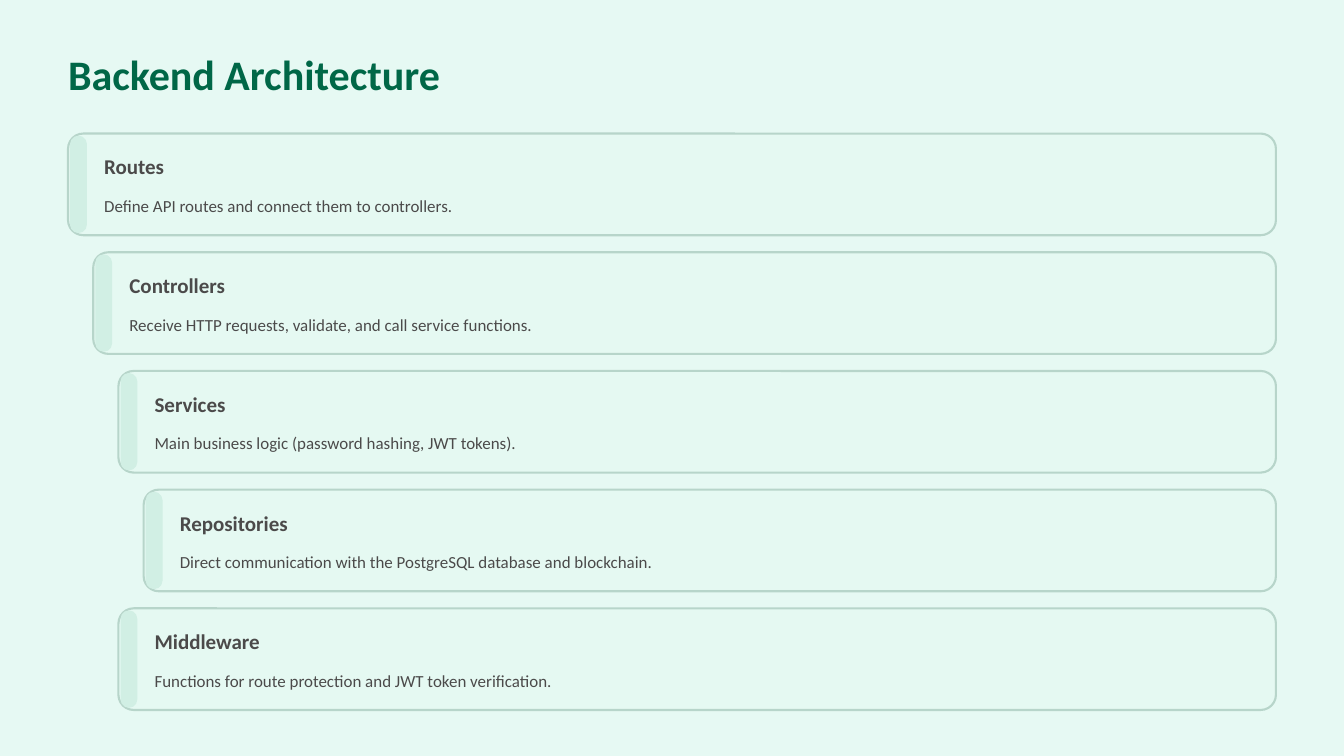
from dataclasses import dataclass

from pptx import Presentation
from pptx.dml.color import RGBColor
from pptx.enum.shapes import MSO_SHAPE
from pptx.enum.text import MSO_ANCHOR, MSO_AUTO_SIZE, PP_ALIGN
from pptx.util import Inches, Pt

ROUNDED = MSO_SHAPE.ROUNDED_RECTANGLE
TOP = MSO_ANCHOR.TOP
LEFT = PP_ALIGN.LEFT
NO_AUTOFIT = MSO_AUTO_SIZE.NONE


@dataclass(frozen=True)
class Theme:
    font: str = "Calibri"
    background: RGBColor = RGBColor.from_string("E6F9F3")
    card: RGBColor = RGBColor.from_string("E5F9F2")
    border: RGBColor = RGBColor.from_string("B7D5CA")
    accent: RGBColor = RGBColor.from_string("D1EFE4")
    title: RGBColor = RGBColor.from_string("006747")
    text: RGBColor = RGBColor.from_string("4B4A4A")
    title_size: float = 36
    heading_size: float = 18
    body_size: float = 14.5


theme = Theme()

# Grid, in inches
MARGIN = 0.81
RIGHT_EDGE = 15.19
FIRST_ROW = 1.59
ROW_PITCH = 1.413
CARD_HEIGHT = 1.21
INDENT = 0.3
INSET = 0.025
ACCENT_WIDTH = 0.2
TEXT_OFFSET = 0.43

# Heading, description, indent level
LAYERS = [
    ("Routes", "Define API routes and connect them to controllers.", 0),
    ("Controllers", "Receive HTTP requests, validate, and call service functions.", 1),
    ("Services", "Main business logic (password hashing, JWT tokens).", 2),
    ("Repositories", "Direct communication with the PostgreSQL database and blockchain.", 3),
    ("Middleware", "Functions for route protection and JWT token verification.", 2),
]


def write(shape, text, size, color, line_height, bold=False):
    frame = shape.text_frame
    frame.margin_left = frame.margin_right = 0
    frame.margin_top = frame.margin_bottom = 0
    frame.word_wrap = True
    frame.auto_size = NO_AUTOFIT
    frame.vertical_anchor = TOP
    frame.text = text
    paragraph = frame.paragraphs[0]
    paragraph.alignment = LEFT
    paragraph.space_before = Pt(0)
    paragraph.line_spacing = Pt(line_height)
    paragraph.font.name = theme.font
    paragraph.font.size = Pt(size)
    paragraph.font.bold = bold
    paragraph.font.color.rgb = color


def add_panel(left, top, width, height, fill, corner):
    shape = slide.shapes.add_shape(
        ROUNDED, Inches(left), Inches(top), Inches(width), Inches(height))
    shape.shadow.inherit = False
    shape.adjustments[0] = corner
    shape.fill.solid()
    shape.fill.fore_color.rgb = fill
    shape.line.fill.background()
    return shape


presentation = Presentation()
presentation.slide_width = Inches(16)
presentation.slide_height = Inches(9)
title_only = presentation.slide_layouts[5]
slide = presentation.slides.add_slide(title_only)
slide.background.fill.solid()
slide.background.fill.fore_color.rgb = theme.background

title = slide.shapes.title
title.left, title.top = Inches(MARGIN), Inches(0.55)
title.width, title.height = Inches(5.59), Inches(0.63)
write(title, "Backend Architecture", theme.title_size, theme.title, 45, bold=True)

for row, (heading, description, level) in enumerate(LAYERS):
    left = MARGIN + level * INDENT
    top = FIRST_ROW + row * ROW_PITCH
    text_left = left + TEXT_OFFSET

    card = add_panel(left, top, RIGHT_EDGE - left, CARD_HEIGHT, theme.card, 0.15)
    card.line.color.rgb = theme.border
    card.line.width = Pt(1.8)
    add_panel(left + INSET, top + INSET, ACCENT_WIDTH, CARD_HEIGHT - 2 * INSET,
              theme.accent, 0.5)

    heading_box = slide.shapes.add_textbox(
        Inches(text_left), Inches(top + 0.23), Inches(2.52), Inches(0.32))
    write(heading_box, heading, theme.heading_size, theme.text, 22.5, bold=True)

    description_box = slide.shapes.add_textbox(
        Inches(text_left), Inches(top + 0.66),
        Inches(RIGHT_EDGE - INSET - text_left), Inches(0.32))
    write(description_box, description, theme.body_size, theme.text, 23)

presentation.save("out.pptx")
